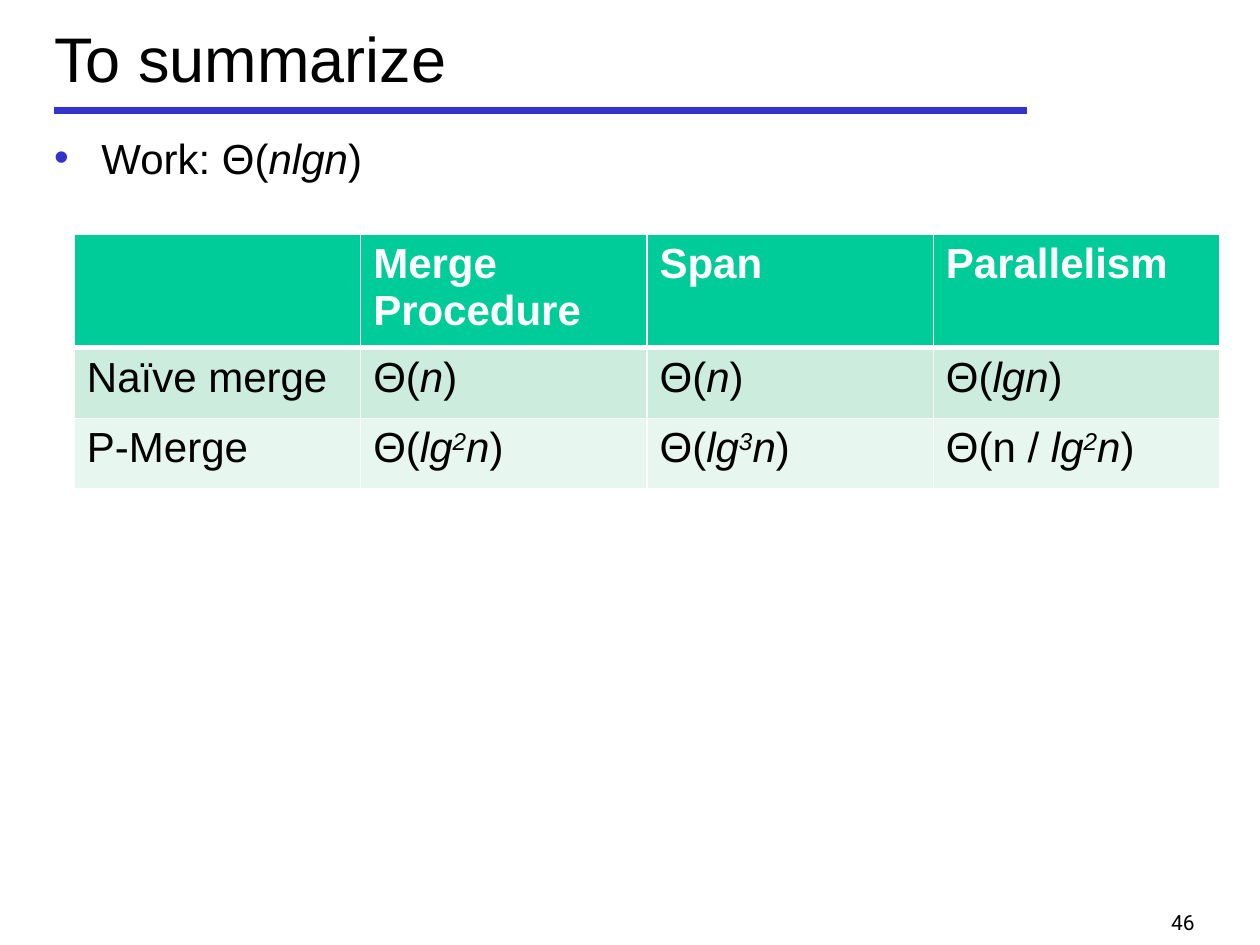
from lxml.etree import SubElement
from pptx import Presentation
from pptx.dml.color import RGBColor
from pptx.enum.shapes import MSO_CONNECTOR
from pptx.enum.text import MSO_ANCHOR, PP_ALIGN
from pptx.oxml import parse_xml
from pptx.oxml.ns import nsdecls, qn
from pptx.util import Inches, Pt

COLORS = {
    "text": "000000",
    "accent": "3333CC",
    "white": "FFFFFF",
    "header": "00CC99",
    "odd_row": "CCECDE",
    "even_row": "E7F6EF",
}
ROWS = [
    ["", "Merge Procedure", "Span", "Parallelism"],
    ["Naïve merge", "Θ(|/n|)", "Θ(|/n|)", "Θ(|/lgn|)"],
    ["P-Merge", "Θ(|/lg|^2|/n|)", "Θ(|/lg|^3|/n|)", "Θ(n / |/lg|^2|/n|)"],
]
ROW_HEIGHTS = [0.63, 0.56, 0.56]


def place(shape, box):
    shape.left, shape.top, shape.width, shape.height = (Inches(length) for length in box)


def style_font(font, size, color="text", name="Arial", bold=False):
    font.size = Pt(size)
    font.name = name
    font.bold = bold
    font.color.rgb = RGBColor.from_string(COLORS[color])


def write_formula(paragraph, markup, size, color="text", bold=False):
    for part in markup.split("|"):
        run = paragraph.add_run()
        run.text = part.lstrip("/^") if part[:1] in ("/", "^") else part
        style_font(run.font, size, color, bold=bold)
        run.font.italic = part[:1] in ("/", "^")
        if part.startswith("^"):
            run.font._element.set("baseline", "30000")


def add_title(slide, box, text):
    title = slide.shapes.title
    place(title, box)
    title.text_frame.text = text
    title.text_frame.vertical_anchor = MSO_ANCHOR.MIDDLE
    paragraph = title.text_frame.paragraphs[0]
    paragraph.alignment = PP_ALIGN.LEFT
    style_font(paragraph.runs[0].font, 36)
    left, top, width, height = box
    rule_left, rule_top = Inches(left + 0.1), Inches(top + height + 0.01)
    rule = slide.shapes.add_connector(
        MSO_CONNECTOR.STRAIGHT, rule_left, rule_top, rule_left + Inches(7.72), rule_top
    )
    rule.line.color.rgb = RGBColor.from_string(COLORS["accent"])
    rule.line.width = Pt(4)
    SubElement(rule._element.spPr, qn("a:effectLst"))


def add_body(slide, box, markup):
    body = slide.placeholders[1]
    place(body, box)
    paragraph = body.text_frame.paragraphs[0]
    write_formula(paragraph, markup, 24)
    bullet_color = SubElement(paragraph._p.get_or_add_pPr(), qn("a:buClr"))
    SubElement(bullet_color, qn("a:srgbClr")).set("val", COLORS["accent"])


def set_borders(cell, widths):
    properties = cell._tc.get_or_add_tcPr()
    for index, (side, width) in enumerate(widths.items()):
        border = parse_xml(
            f'<a:ln{side} {nsdecls("a")} w="{Pt(width)}"><a:solidFill>'
            f'<a:srgbClr val="{COLORS["white"]}"/></a:solidFill></a:ln{side}>'
        )
        properties.insert(index, border)


def add_summary_table(slide, box):
    left, top, width, height = (Inches(length) for length in box)
    table = slide.shapes.add_table(len(ROWS), len(ROWS[0]), left, top, width, height).table
    for row, row_height in zip(table.rows, ROW_HEIGHTS):
        row.height = Inches(row_height)
    fills = ["header", "odd_row", "even_row"]
    for row_index, texts in enumerate(ROWS):
        is_header = row_index == 0
        for column_index, markup in enumerate(texts):
            cell = table.cell(row_index, column_index)
            cell.fill.solid()
            cell.fill.fore_color.rgb = RGBColor.from_string(COLORS[fills[row_index]])
            set_borders(cell, {
                "L": 1, "R": 1,
                "T": 3 if row_index == 1 else 1,
                "B": 3 if is_header else 1,
            })
            if markup:
                color = "white" if is_header else "text"
                write_formula(cell.text_frame.paragraphs[0], markup, 24, color, is_header)


def add_page_number(slide, box, number):
    text_box = slide.shapes.add_textbox(*(Inches(length) for length in box))
    text_box.text_frame.word_wrap = True
    text_box.text_frame.text = number
    paragraph = text_box.text_frame.paragraphs[0]
    paragraph.alignment = PP_ALIGN.RIGHT
    style_font(paragraph.runs[0].font, 12, name="Roboto")


def build():
    presentation = Presentation()
    presentation.slide_width, presentation.slide_height = Inches(10), Inches(7.5)
    slide = presentation.slides.add_slide(presentation.slide_layouts[1])
    add_title(slide, (0.33, 0.04, 7.98, 0.83), "To summarize")
    add_body(slide, (0.33, 1, 9.25, 5.92), "Work: Θ(|/nlgn|)")
    add_page_number(slide, (8.92, 7.17, 0.66, 0.25), "46")
    add_summary_table(slide, (0.59, 1.86, 9.09, sum(ROW_HEIGHTS)))
    presentation.save("out.pptx")


build()
